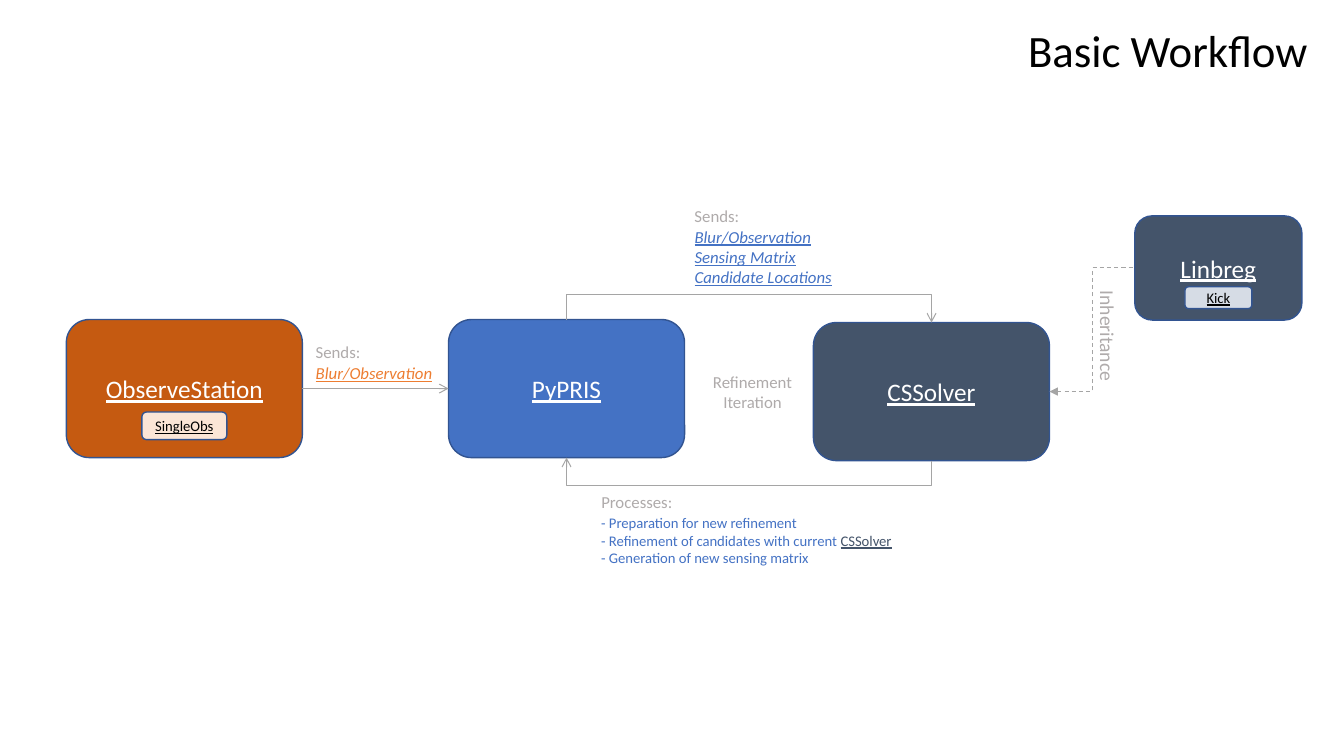
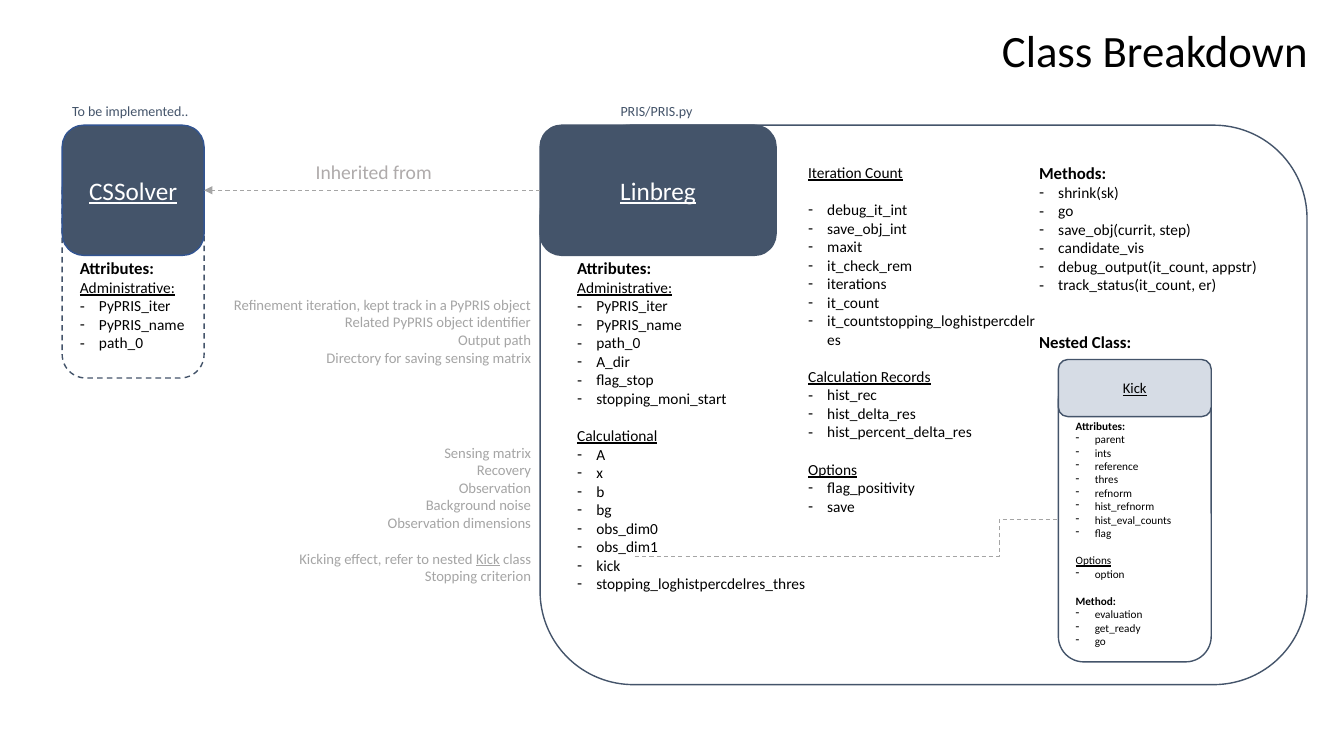
from dataclasses import dataclass

from pptx import Presentation
from pptx.dml.color import RGBColor
from pptx.enum.dml import MSO_LINE_DASH_STYLE as Dash
from pptx.enum.shapes import MSO_CONNECTOR as Route, MSO_SHAPE as Preset
from pptx.enum.text import MSO_ANCHOR as Anchor, MSO_AUTO_SIZE as Fit, PP_ALIGN as Align
from pptx.oxml.ns import qn
from pptx.util import Inches, Pt
from lxml.etree import SubElement

CELL = Inches(1) / 12
COLUMNS, ROWS = 160, 90
FONT = "Calibri"
WHITE = RGBColor(0xFF, 0xFF, 0xFF)
BLACK = RGBColor(0, 0, 0)
BLUE = RGBColor(0x44, 0x72, 0xC4)
EDGE = RGBColor(0x32, 0x54, 0x91)
SLATE = RGBColor(0x44, 0x54, 0x6A)
PALE_SLATE = RGBColor(0xD6, 0xDC, 0xE5)
RUST = RGBColor(0xC5, 0x5A, 0x11)
ORANGE = RGBColor(0xED, 0x7D, 0x31)
PEACH = RGBColor(0xFB, 0xE5, 0xD6)
GREY = RGBColor(0xA5, 0xA5, 0xA5)
WARM_GREY = RGBColor(0xAF, 0xAB, 0xAB)

TITLE = dict(size=32, color=BLACK)
NODE = dict(size=18, color=WHITE, underline=True)
BADGE = dict(size=10.5, color=BLACK, underline=True)
LABEL = dict(size=12, color=WARM_GREY)
BIG_LABEL = dict(size=14, color=WARM_GREY)
PAYLOAD = dict(size=12, italic=True, underline=True)
STEP = dict(size=10.5, color=BLUE)
CAPTION = dict(size=10, color=SLATE)
REMARK = dict(size=10.5, color=GREY)
MARGINS = "margin_left", "margin_right", "margin_top", "margin_bottom"


def cells(*lengths):
    return [round(length * CELL) for length in lengths]


@dataclass
class Box:
    x: float
    y: float
    w: float
    h: float

    def share(self, x, y, w, h):
        return Box(self.x + x * self.w, self.y + y * self.h, w * self.w, h * self.h)

    def inset(self, x, y, w, h):
        return Box(self.x + x, self.y + y, w, h)

    def at(self, across, down):
        return self.x + across * self.w, self.y + down * self.h

    def emu(self):
        return cells(self.x, self.y, self.w, self.h)


@dataclass
class Section:
    heading: str
    look: dict
    items: tuple = ()
    gap: float = 0
    lead: float = 0


def style(font, look):
    settings = dict(bold=False, italic=False, underline=False, name=FONT) | look
    font.color.rgb = settings.pop("color")
    font.size = Pt(settings.pop("size"))
    for key, value in settings.items():
        setattr(font, key, value)


def paragraph(frame, content, look, align=Align.LEFT, gap=0, first=False):
    line = frame.paragraphs[0] if first else frame.add_paragraph()
    for key, value in dict(alignment=align, space_before=Pt(gap), space_after=Pt(0)).items():
        setattr(line, key, value)
    runs = [(content, {})] if isinstance(content, str) else content
    for words, change in runs:
        run = line.add_run()
        run.text = words
        style(run.font, look | change)
    return line


def note(slide, box, lines, look, align=Align.LEFT, gaps=None, vertical=False):
    frame = slide.shapes.add_textbox(*box.emu()).text_frame
    frame.word_wrap = not vertical
    for index, content in enumerate(lines):
        paragraph(frame, content, look, align, (gaps or {}).get(index, 0), index == 0)
    if vertical:
        frame._txBody.bodyPr.set("vert", "eaVert")


def panel(slide, box, fill, edge, words="", look=NODE, dash=None):
    shape = slide.shapes.add_shape(Preset.ROUNDED_RECTANGLE, *box.emu())
    shape.shadow.inherit = False
    shape.fill.solid()
    shape.fill.fore_color.rgb = fill
    shape.line.color.rgb = edge
    shape.line.width = Pt(1)
    if dash:
        shape.line.dash_style = dash
    if words:
        frame = shape.text_frame
        frame.vertical_anchor = Anchor.MIDDLE
        for side in MARGINS:
            setattr(frame, side, 0)
        paragraph(frame, words, look, Align.CENTER, first=True)
    return box


def link(slide, start, end, route=Route.STRAIGHT, head=None, tail=None, dash=None,
         bend=None, turn=0):
    wire = slide.shapes.add_connector(route, *cells(*start, *end))
    wire.line.color.rgb = GREY
    wire.line.width = Pt(0.75)
    if dash:
        wire.line.dash_style = dash
    properties = wire._element.spPr
    outline = properties.find(qn("a:ln"))
    for tag, kind in (("a:headEnd", head), ("a:tailEnd", tail)):
        if kind:
            SubElement(outline, qn(tag)).set("type", kind)
    SubElement(properties, qn("a:effectLst"))
    if turn:
        properties.find(qn("a:xfrm")).set("rot", str(turn * 60000))
    if bend is not None:
        guides = properties.find(qn("a:prstGeom")).get_or_add_avLst()
        guide = SubElement(guides, qn("a:gd"))
        guide.set("name", "adj1")
        guide.set("fmla", f"val {round(bend * 100000)}")


def loop(slide, start, end, rise):
    middle_x, middle_y = (start[0] + end[0]) / 2, (start[1] + end[1]) / 2
    half_w, half_h = abs(end[1] - start[1]) / 2, abs(end[0] - start[0]) / 2
    link(slide, (middle_x + half_w, middle_y - half_h), (middle_x - half_w, middle_y + half_h),
         Route.ELBOW, tail="arrow", bend=-rise / (2 * half_w),
         turn=270 if end[0] > start[0] else 90)


def place(shape, box, anchor):
    for key, value in zip(("left", "top", "width", "height"), box.emu()):
        setattr(shape, key, value)
    frame = shape.text_frame
    for key, value in dict(word_wrap=True, auto_size=Fit.NONE, vertical_anchor=anchor).items():
        setattr(frame, key, value)
    return frame


def titled_slide(deck, layout, words):
    slide = deck.slides.add_slide(deck.slide_layouts[layout])
    frame = place(slide.shapes.title, Box(112.5, 2.2, 44.4, 8.3), Anchor.MIDDLE)
    paragraph(frame, words, TITLE, Align.RIGHT, first=True).line_spacing = 0.9
    return slide


def indent(line, depth, bullet):
    properties = line._p.get_or_add_pPr()
    properties.set("marL", str(depth))
    properties.set("indent", str(-depth))
    if bullet:
        SubElement(properties, qn("a:buFontTx"))
        SubElement(properties, qn("a:buChar")).set("char", bullet)
    else:
        SubElement(properties, qn("a:buNone"))


def member_list(slide, holder, box, sections, size):
    slide.shapes._spTree.append(holder._element)
    frame = place(holder, box, Anchor.TOP)
    for side in MARGINS:
        setattr(frame, side, 0)
    plain = dict(size=size, color=BLACK)
    for order, section in enumerate(sections):
        heading = paragraph(frame, section.heading, plain | section.look,
                            gap=section.gap, first=order == 0)
        indent(heading, 0, None)
        for index, item in enumerate(section.items):
            entry = paragraph(frame, item, plain, gap=0 if index else section.lead)
            indent(entry, Inches(0.19), "-")


def class_card(slide, box, header_size, drop, name, fill, edge, look=NODE, dash=None):
    panel(slide, box.inset(0, drop, box.w, box.h - drop), WHITE, SLATE, dash=dash)
    return panel(slide, box.inset(0, 0, *header_size), fill, edge, name, look)


def workflow(deck):
    slide = titled_slide(deck, 5, "Basic Workflow")
    node_size = 28.1, 16.44
    station = panel(slide, Box(7.9, 38.04, *node_size), RUST, EDGE, "ObserveStation")
    refiner = panel(slide, Box(53.4, 38.04, *node_size), BLUE, EDGE, "PyPRIS")
    solver = panel(slide, Box(96.84, 38.4, *node_size), SLATE, EDGE, "CSSolver")
    linbreg = panel(slide, Box(135.1, 25.7, 19.9, 12.4), SLATE, EDGE, "Linbreg")
    panel(slide, station.share(0.32, 0.67, 0.36, 0.2), PEACH, EDGE, "SingleObs", BADGE)
    panel(slide, linbreg.share(0.3, 0.68, 0.4, 0.21), PALE_SLATE, EDGE, "Kick", BADGE)

    link(slide, station.at(1, 0.5), refiner.at(0, 0.5), tail="arrow")
    loop(slide, refiner.at(0.5, 0), solver.at(0.5, 0), 3)
    loop(slide, solver.at(0.5, 1), refiner.at(0.5, 1), 3)
    link(slide, solver.at(1, 0.5), linbreg.at(0, 0.5), Route.ELBOW,
         head="triangle", dash=Dash.DASH)

    for box, words in (
        (Box(36.4, 40.1, 12, 3.6), "Sends:"),
        (Box(81.5, 23.9, 12, 3.6), "Sends:"),
        (Box(70.4, 58, 14, 3.6), "Processes:"),
    ):
        note(slide, box, [words], LABEL)
    note(slide, Box(36.4, 42.6, 22.2, 3.6), ["Blur/Observation"], PAYLOAD | dict(color=ORANGE))
    note(slide, Box(81.5, 26.4, 20.5, 8.5),
         ["Blur/Observation", "Sensing Matrix", "Candidate Locations"],
         PAYLOAD | dict(color=BLUE))
    note(slide, Box(70.4, 60.6, 38.6, 7.6), [
        "- Preparation for new refinement",
        [("- Refinement of candidates with current ", {}),
         ("CSSolver", dict(color=SLATE, underline=True))],
        "- Generation of new sensing matrix",
    ], STEP)
    note(slide, Box(82.9, 43.7, 13.4, 6), ["Refinement", "Iteration"], LABEL, Align.CENTER)
    note(slide, Box(128.6, 33.4, 5.3, 12.1), ["Inheritance"], BIG_LABEL, vertical=True)


def breakdown(deck):
    slide = titled_slide(deck, 4, "Class Breakdown")
    holders = [holder for holder in slide.placeholders if holder.placeholder_format.idx]
    strong, ruled = dict(size=12, bold=True), dict(underline=True)
    blank = 13.43
    shared = ("PyPRIS_iter", "PyPRIS_name", "path_0")

    solver = Box(7.4, 14.9, 16.9, 30.1)
    linbreg = Box(64.3, 14.9, 91.3, 66.6)
    kick = Box(126, 42.8, 18.2, 36)
    solver_head = class_card(slide, solver, (16.9, 15.5), 5, "CSSolver", SLATE, EDGE,
                             dash=Dash.DASH)
    linbreg_head = class_card(slide, linbreg, (28.1, 15.5), 0, "Linbreg", SLATE, SLATE)
    class_card(slide, kick, (18.2, 6.8), 1.8, "Kick", PALE_SLATE, SLATE, BADGE)

    solver_members = [
        Section("Attributes:", strong),
        Section("Administrative:", ruled, shared),
    ]
    linbreg_columns = [
        [Section("Attributes:", strong),
         Section("Administrative:", ruled,
                 shared + ("A_dir", "flag_stop", "stopping_moni_start")),
         Section("Calculational", ruled,
                 ("A", "x", "b", "bg", "obs_dim0", "obs_dim1", "kick",
                  "stopping_loghistpercdelres_thres"), blank)],
        [Section("Iteration Count", ruled,
                 ("debug_it_int", "save_obj_int", "maxit", "it_check_rem", "iterations",
                  "it_count", "it_countstopping_loghistpercdelres"), lead=blank),
         Section("Calculation Records", ruled,
                 ("hist_rec", "hist_delta_res", "hist_percent_delta_res"), blank),
         Section("Options", ruled, ("flag_positivity", "save"), blank)],
        [Section("Methods:", strong,
                 ("shrink(sk)", "go", "save_obj(currit, step)", "candidate_vis",
                  "debug_output(it_count, appstr)", "track_status(it_count, er)")),
         Section("Nested Class:", strong, gap=2 * blank)],
    ]
    kick_members = [
        Section("Attributes:", dict(bold=True),
                ("parent", "ints", "reference", "thres", "refnorm", "hist_refnorm",
                 "hist_eval_counts", "flag")),
        Section("Options", ruled, ("option",), 9.77),
        Section("Method:", dict(bold=True), ("evaluation", "get_ready", "go"), 9.77),
    ]
    member_list(slide, holders[0], solver.inset(2.1, 15.8, 14.5, 13), solver_members, 11)
    column_spans = (15.8, 46), (4.5, 48), (4.5, 23)
    for index, (sections, (top, height)) in enumerate(zip(linbreg_columns, column_spans)):
        member_list(slide, holders[index + 1],
                    linbreg.inset(4.4 + 27.5 * index, top, 27.4, height), sections, 11)
    kick_text = slide.shapes.add_textbox(*kick.emu())
    member_list(slide, kick_text, kick.inset(2.05, 7.1, 15, 28), kick_members, 8)

    link(slide, linbreg_head.at(0, 0.5), solver_head.at(1, 0.5),
         tail="triangle", dash=Dash.DASH)
    link(slide, (75.6, 66.2), (kick.x, 61.8), Route.ELBOW, dash=Dash.DASH, bend=0.86)

    note(slide, Box(solver.x, 11.6, 16.9, 3.2), ["To be implemented.."], CAPTION)
    note(slide, Box(72.7, 11.6, 25, 3.2), ["PRIS/PRIS.py"], CAPTION)
    note(slide, Box(36.4, 18.5, 16.9, 4.1), ["Inherited from"], BIG_LABEL)
    note(slide, Box(24.4, 34.6, 40, 9.7), [
        "Refinement iteration, kept track in a PyPRIS object",
        "Related PyPRIS object identifier",
        "Output path",
        "Directory for saving sensing matrix",
    ], REMARK, Align.RIGHT)
    note(slide, Box(24.4, 52.2, 40, 18.1), [
        "Sensing matrix", "Recovery", "Observation", "Background noise",
        "Observation dimensions",
        [("Kicking effect, refer to nested ", {}), ("Kick", ruled), (" class", {})],
        "Stopping criterion",
    ], REMARK, Align.RIGHT, {5: 12.82})


deck = Presentation()
deck.slide_width, deck.slide_height = cells(COLUMNS, ROWS)
workflow(deck)
breakdown(deck)
deck.save("out.pptx")
